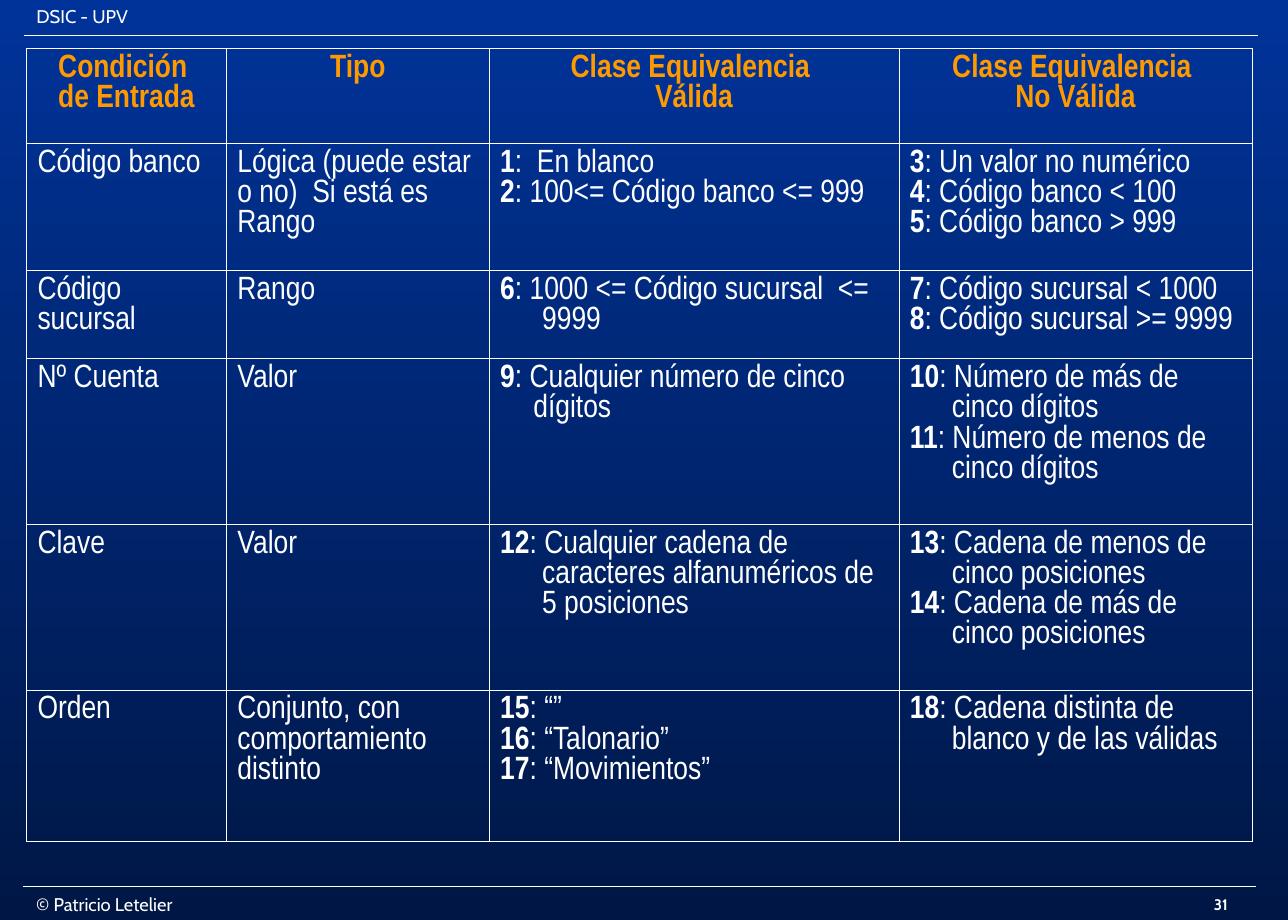
from lxml import etree
from pptx import Presentation
from pptx.dml.color import RGBColor
from pptx.enum.shapes import MSO_CONNECTOR
from pptx.enum.text import MSO_ANCHOR, PP_ALIGN
from pptx.oxml.ns import qn
from pptx.util import Inches, Pt

STRAIGHT = MSO_CONNECTOR.STRAIGHT
TOP, MIDDLE = MSO_ANCHOR.TOP, MSO_ANCHOR.MIDDLE
LEFT, CENTER = PP_ALIGN.LEFT, PP_ALIGN.CENTER

COLORS = {"top": "003399", "bottom": "001746", "text": "FFFFFF", "heading": "FF9900"}
TABLE_FONT, PAGE_FONT = "Arial Narrow", "Cabin"

# Page size in points, finer than hundredths of an inch
PAGE_SIZE = (839.8, 600.15)

# Content: one list of lines per cell; the number before a colon is bold
HEADINGS = [
    ["Condición ", "de Entrada"],
    ["Tipo"],
    ["Clase Equivalencia ", "Válida"],
    ["Clase Equivalencia ", "No Válida"],
]
CLASSES = [
    [["Código banco"],
     ["Lógica (puede estar o no)  Si está es Rango"],
     ["1:  En blanco", "2: 100<= Código banco <= 999"],
     ["3: Un valor no numérico", "4: Código banco < 100", "5: Código banco > 999"]],
    [["Código sucursal"],
     ["Rango"],
     ["6: 1000 <= Código sucursal  <= 9999"],
     ["7: Código sucursal < 1000", "8: Código sucursal >= 9999"]],
    [["Nº Cuenta"],
     ["Valor"],
     ["9: Cualquier número de cinco dígitos"],
     ["10: Número de más de cinco dígitos", "11: Número de menos de cinco dígitos"]],
    [["Clave"],
     ["Valor"],
     ["12: Cualquier cadena de caracteres alfanuméricos de 5 posiciones"],
     ["13: Cadena de menos de cinco posiciones", "14: Cadena de más de cinco posiciones"]],
    [["Orden"],
     ["Conjunto, con comportamiento distinto"],
     ["15: “”", "16: “Talonario”", "17: “Movimientos”"],
     ["18: Cadena distinta de blanco y de las válidas"]],
]
COLUMN_WIDTHS = [1.81, 2.38, 3.71, 3.2]
ROW_HEIGHTS = [0.86, 1.15, 0.8, 1.5, 1.5, 1.37]
HANGING = 0.38
SPECIAL_HANGING = {"9": 0.3}

# Page furniture: text, position, format
LABELS = [
    ("DSIC - UPV", (0.23, 0, 3.99, 0.3), TOP, {}),
    ("© Patricio Letelier", (0.23, 8.13, 1.6, 0.2), MIDDLE, {"spacing": 0.5}),
    ("31", (10.6, 8.05, 0.91, 0.29), MIDDLE, {"size": 10, "bold": True, "align": CENTER}),
]
RULES = [(0.22, 11.39, 0.32), (0.21, 11.37, 8.03)]


def write(para, text, size=12, font=PAGE_FONT, color="text", bold=False,
          align=LEFT, spacing=None):
    para.alignment = align
    if spacing:
        para.line_spacing = spacing
    number, colon, rest = text.partition(":")
    parts = [(number, True), (colon + rest, bold)] if colon else [(text, bold)]
    if colon:
        hanging = Inches(SPECIAL_HANGING.get(number, HANGING))
        properties = para._p.get_or_add_pPr()
        properties.set("marL", str(hanging))
        properties.set("indent", str(-hanging))
    for words, heavy in parts:
        span = para.add_run()
        span.text = words
        span.font.size = Pt(size)
        span.font.name = font
        span.font.bold = heavy
        span.font.color.rgb = RGBColor.from_string(COLORS[color])


def border(cell, width):
    properties = cell._tc.get_or_add_tcPr()
    for side in ("lnL", "lnR", "lnT", "lnB"):
        line = etree.SubElement(properties, qn("a:" + side), w=str(Pt(width)))
        fill = etree.SubElement(line, qn("a:solidFill"))
        etree.SubElement(fill, qn("a:srgbClr"), val=COLORS["text"])


def main():
    deck = Presentation()
    deck.slide_width, deck.slide_height = map(Pt, PAGE_SIZE)
    page = deck.slides.add_slide(deck.slide_layouts[6])

    # Background gradient, running downwards
    backdrop = page.background.fill
    backdrop.gradient()
    backdrop.gradient_angle = 270
    for stop, name, position in zip(backdrop.gradient_stops, ("top", "bottom"), (0, 1)):
        stop.color.rgb = RGBColor.from_string(COLORS[name])
        stop.position = position

    # Header and footer
    for text, place, anchor, style in LABELS:
        box = page.shapes.add_textbox(*map(Inches, place))
        box.text_frame.word_wrap = True
        box.text_frame.vertical_anchor = anchor
        write(box.text_frame.paragraphs[0], text, **style)
    for start, end, height in RULES:
        rule = page.shapes.add_connector(
            STRAIGHT, Inches(start), Inches(height), Inches(end), Inches(height))
        rule.line.color.rgb = RGBColor.from_string(COLORS["text"])
        rule.line.width = Pt(1)
        etree.SubElement(rule._element.spPr, qn("a:effectLst"))

    # Equivalence class table
    rows = [HEADINGS] + CLASSES
    table = page.shapes.add_table(
        len(rows), len(HEADINGS), Inches(0.24), Inches(0.44),
        Inches(sum(COLUMN_WIDTHS)), Inches(sum(ROW_HEIGHTS))).table
    table.first_row = table.horz_banding = False
    for column, width in zip(table.columns, COLUMN_WIDTHS):
        column.width = Inches(width)
    for row, height in zip(table.rows, ROW_HEIGHTS):
        row.height = Inches(height)
    heading_style = {"color": "heading", "bold": True, "align": CENTER}
    for row_index, row in enumerate(rows):
        style = {} if row_index else heading_style
        for column_index, lines in enumerate(row):
            cell = table.cell(row_index, column_index)
            border(cell, 0.45)
            cell.fill.background()
            frame = cell.text_frame
            for line_index, text in enumerate(lines):
                para = frame.add_paragraph() if line_index else frame.paragraphs[0]
                write(para, text, size=21, font=TABLE_FONT, **style)

    deck.save("out.pptx")


if __name__ == "__main__":
    main()
